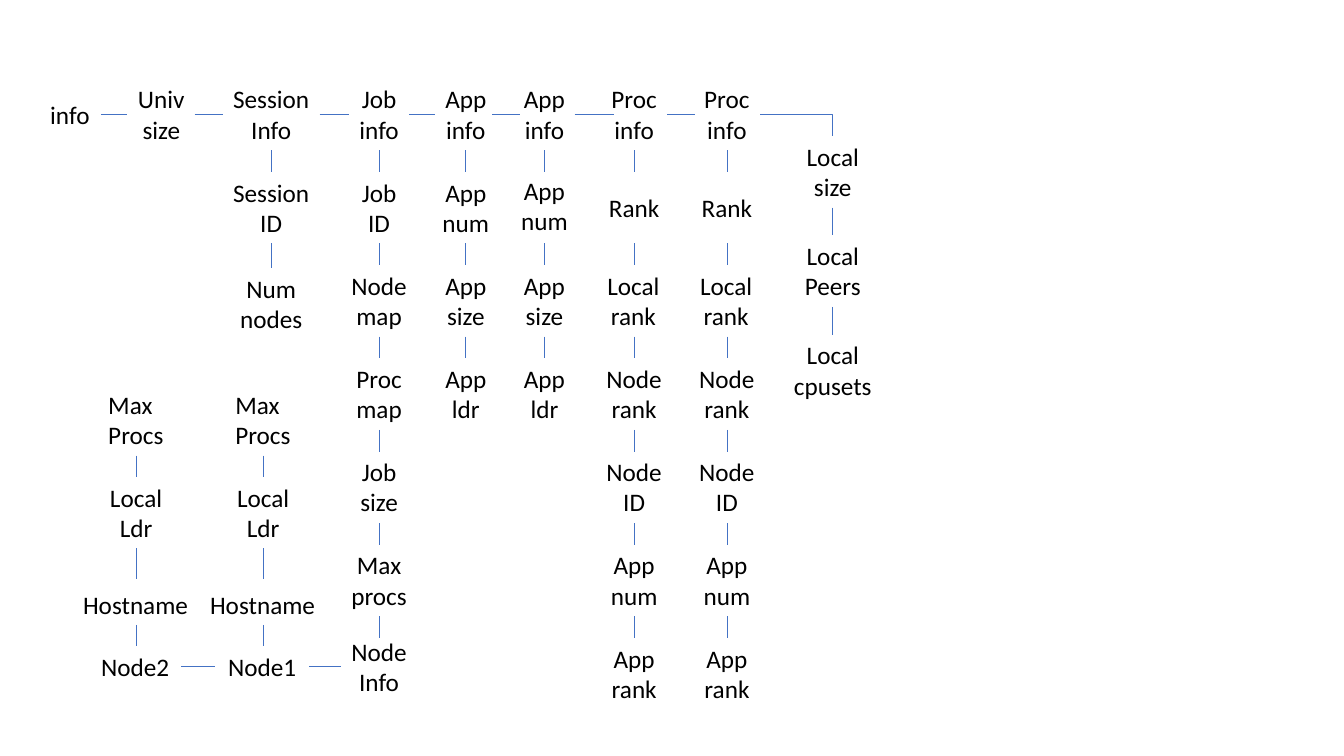
"""Draw the tree of session, job, app, process and node information."""
from lxml import etree
from pptx import Presentation
from pptx.dml.color import RGBColor
from pptx.enum.shapes import MSO_CONNECTOR
from pptx.enum.text import MSO_AUTO_SIZE, PP_ALIGN
from pptx.oxml.ns import qn
from pptx.util import Inches, Pt

STRAIGHT, ELBOW = MSO_CONNECTOR.STRAIGHT, MSO_CONNECTOR.ELBOW
LEFT, CENTER = PP_ALIGN.LEFT, PP_ALIGN.CENTER
GROW = MSO_AUTO_SIZE.SHAPE_TO_FIT_TEXT
BLACK = RGBColor(0x00, 0x00, 0x00)
BLUE = RGBColor(0x44, 0x72, 0xC4)

TOP, PITCH, LOCAL_PITCH = 0.78, 0.925, 0.985
ONE_LINE, TWO_LINES = 0.4, 0.71
LINK_Y, NODE_Y = 1.13, 6.61

WIDTHS = {
    "info": 0.6, "Univ\nsize": 0.67, "Session\nInfo": 0.96, "Session\nID": 0.96,
    "Num\nnodes": 0.83, "Job\ninfo": 0.6, "Job\nID": 0.55, "Node\nmap": 0.76,
    "Proc\nmap": 0.66, "Job\nsize": 0.58, "Max\nprocs": 0.76, "Node\nInfo": 0.76,
    "App\ninfo": 0.61, "App\nnum": 0.67, "App\nsize": 0.61, "App\nldr": 0.61,
    "Proc\ninfo": 0.66, "Rank": 0.71, "Local\nrank": 0.73, "Node\nrank": 0.76,
    "Node\nID": 0.76, "App\nrank": 0.65, "Local\nsize": 0.73, "Local\nPeers": 0.76,
    "Local\ncpusets": 0.98, "Max\nProcs": 0.75, "Local\nLdr": 0.73,
    "Hostname": 1.25, "Node1": 0.89, "Node2": 0.89,
}
LEFT_LINES = {"info": 1, "Local\nrank": 1, "Max\nProcs": 2, "Hostname": 1, "Node1": 1, "Node2": 1}

APP = ["App\ninfo", "App\nnum", "App\nsize", "App\nldr"]
PROC = ["Proc\ninfo", "Rank", "Local\nrank", "Node\nrank", "Node\nID", "App\nnum", "App\nrank"]
JOB = ["Job\ninfo", "Job\nID", "Node\nmap", "Proc\nmap", "Job\nsize", "Max\nprocs", "Node\nInfo"]
NODE = ["Max\nProcs", "Local\nLdr"]
COLUMNS = [
    (0.7, TOP, PITCH, ["info"]),
    (1.6, TOP, PITCH, ["Univ\nsize"]),
    (2.69, TOP, PITCH, ["Session\nInfo", "Session\nID", "Num\nnodes"]),
    (3.76, TOP, PITCH, JOB),
    (4.62, TOP, PITCH, APP),
    (5.4, TOP, PITCH, APP),
    (6.29, TOP, PITCH, PROC),
    (7.21, TOP, PITCH, PROC),
    (8.26, 1.35, LOCAL_PITCH, ["Local\nsize", "Local\nPeers", "Local\ncpusets"]),
    (1.35, 3.81, PITCH, NODE),
    (2.61, 3.81, PITCH, NODE),
]
NUDGES = {(2.69, 2): 0.03, (3.76, 6): -0.07, (5.4, 1): -0.02}

deck = Presentation()
deck.slide_width, deck.slide_height = Inches(13.33), Inches(7.5)
page = deck.slides.add_slide(deck.slide_layouts[6])


def add_label(label, center, middle):
    """Place a label around its centre point."""
    width = WIDTHS[label]
    height = TWO_LINES if "\n" in label else ONE_LINE
    box = page.shapes.add_textbox(Inches(center - width / 2), Inches(middle - height / 2),
                                  Inches(width), Inches(height))
    frame = box.text_frame
    frame.word_wrap = False
    frame.auto_size = GROW
    frame.text = label
    for index, paragraph in enumerate(frame.paragraphs):
        paragraph.alignment = LEFT if index < LEFT_LINES.get(label, 0) else CENTER
        paragraph.font.name = "Calibri"
        paragraph.font.size = Pt(18)
        paragraph.font.color.rgb = BLACK


def add_link(x1, y1, x2, y2, kind=STRAIGHT):
    """Draw a thin blue link and return it."""
    link = page.shapes.add_connector(kind, Inches(x1), Inches(y1), Inches(x2), Inches(y2))
    link.line.color.rgb = BLUE
    link.line.width = Pt(0.5)
    etree.SubElement(link._element.spPr, qn("a:effectLst"))
    return link


for center, first_top, pitch, labels in COLUMNS:
    for row, label in enumerate(labels):
        top = first_top + row * pitch
        nudge = NUDGES.get((center, row), 0)
        add_label(label, center, top + nudge + TWO_LINES / 2)
        if row:
            add_link(center, top - pitch + TWO_LINES, center, top + max(nudge, 0))

for center, name in ((1.35, "Node2"), (2.61, "Node1")):
    add_label("Hostname", center, 6)
    add_label(name, center, NODE_Y)
    add_link(center, 5.44, center, 5.74)
    add_link(center, 6.2, center, 6.41)

for start, end in ((1, 1.26), (1.93, 2.21), (3.17, 3.46), (4.06, 4.31),
                   (4.88, 5.16), (5.7, 6.09), (6.62, 6.89)):
    add_link(start, LINK_Y, end, LINK_Y)

for start, end in ((3.38, 3.06), (2.13, 1.8)):
    add_link(start, NODE_Y, end, NODE_Y)

corner = add_link(7.54, LINK_Y, 8.26, 1.35, ELBOW)
corner._element.spPr.find(qn("a:prstGeom")).set("prst", "bentConnector2")

deck.save("out.pptx")
